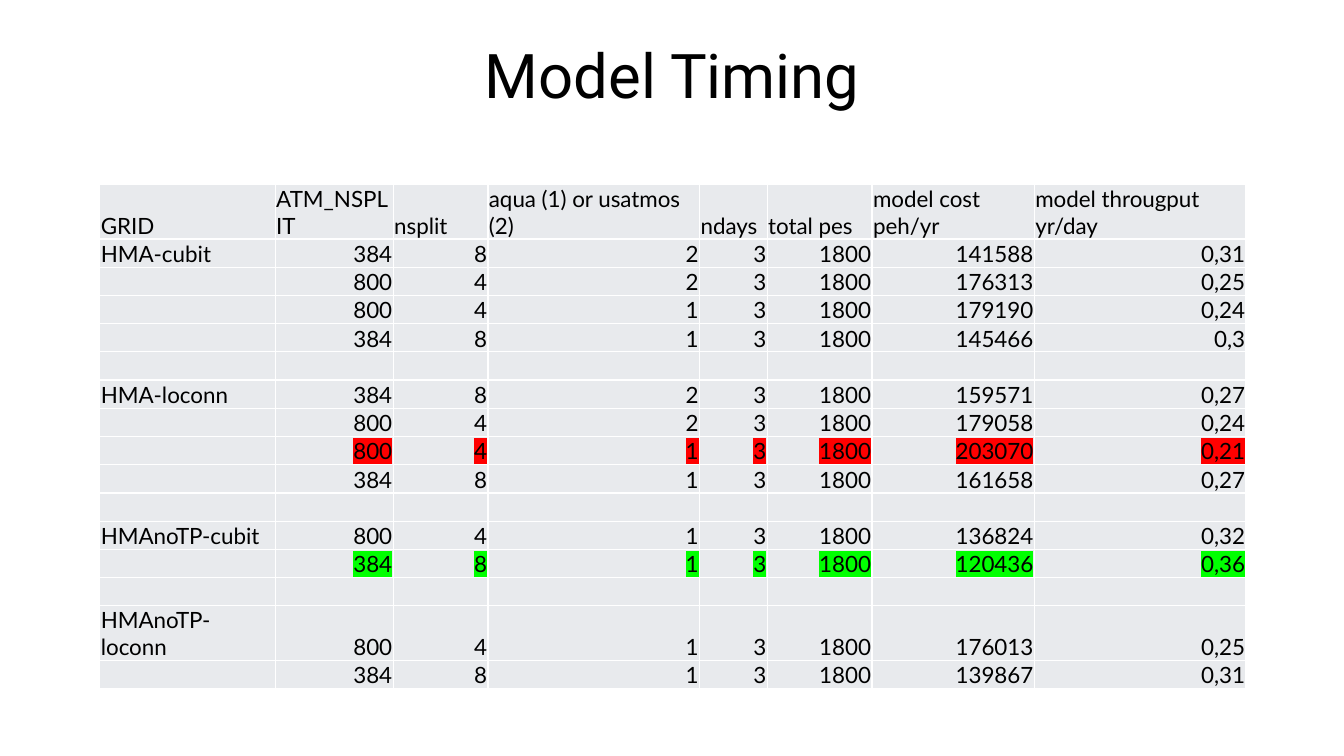
from dataclasses import dataclass
from lxml.etree import SubElement
from pptx import Presentation
from pptx.dml.color import RGBColor as Color
from pptx.enum.text import MSO_ANCHOR as Anchor, MSO_AUTO_SIZE as AutoSize, PP_ALIGN as Align
from pptx.oxml import parse_xml
from pptx.oxml.ns import nsdecls, qn
from pptx.util import Inches, Pt


@dataclass(frozen=True)
class Theme:
    text: str = "000000"
    cell: str = "E8EAED"
    border: str = "FFFFFF"
    slowest: str = "FF0000"
    fastest: str = "00FF00"
    title_font: str = "Roboto"
    table_font: str = "Lato"
    title_size: int = 44
    table_size: int = 16
    border_width: int = 1


theme = Theme()


def add_run(paragraph, text, font_name, size, highlight=None):
    run = paragraph.add_run()
    run.text = text
    run.font.name = font_name
    run.font.size = Pt(size)
    run.font.color.rgb = Color.from_string(theme.text)
    if highlight:
        fill = run.font._element.find(qn("a:solidFill"))
        fill.addnext(parse_xml(
            f'<a:highlight {nsdecls("a")}><a:srgbClr val="{highlight}"/></a:highlight>'))


def style_cell(cell):
    cell.fill.solid()
    cell.fill.fore_color.rgb = Color.from_string(theme.cell)
    cell.vertical_anchor = Anchor.BOTTOM
    cell.margin_left = cell.margin_right = cell.margin_top = Inches(0.01)
    cell.margin_bottom = 0
    properties = cell._tc.get_or_add_tcPr()
    for position, side in enumerate(("lnL", "lnR", "lnT", "lnB")):
        properties.insert(position, parse_xml(
            f'<a:{side} {nsdecls("a")} w="{Pt(theme.border_width)}"><a:solidFill>'
            f'<a:srgbClr val="{theme.border}"/></a:solidFill></a:{side}>'))


headers = ["GRID", "ATM_NSPLIT", "nsplit", "aqua (1) or usatmos (2)", "ndays",
           "total pes", "model cost peh/yr", "model througput yr/day"]
days, processors = "3", "1800"
grid_runs = {
    "HMA-cubit": [("384", "8", "2", "141588", "0,31"),
                  ("800", "4", "2", "176313", "0,25"),
                  ("800", "4", "1", "179190", "0,24"),
                  ("384", "8", "1", "145466", "0,3")],
    "HMA-loconn": [("384", "8", "2", "159571", "0,27"),
                   ("800", "4", "2", "179058", "0,24"),
                   ("800", "4", "1", "203070", "0,21"),
                   ("384", "8", "1", "161658", "0,27")],
    "HMAnoTP-cubit": [("800", "4", "1", "136824", "0,32"),
                      ("384", "8", "1", "120436", "0,36")],
    "HMAnoTP-loconn": [("800", "4", "1", "176013", "0,25"),
                       ("384", "8", "1", "139867", "0,31")],
}
highlights = {"203070": theme.slowest, "120436": theme.fastest}

rows = [headers]
for grid, timings in grid_runs.items():
    if len(rows) > 1:
        rows.append([""] * len(headers))
    for index, (atm_split, split, setup, cost, throughput) in enumerate(timings):
        rows.append([grid if index == 0 else "", atm_split, split, setup,
                     days, processors, cost, throughput])

column_widths = [1.74, 1.17, 0.94, 2.1, 0.67, 1.04, 1.61, 2.1]
line_height, double_height = 0.28, 0.54
row_heights = [double_height if row[0] in ("GRID", "HMAnoTP-loconn") else line_height
               for row in rows]

presentation = Presentation()
presentation.slide_width = Inches(13.33)
presentation.slide_height = Inches(7.5)
slide = presentation.slides.add_slide(presentation.slide_layouts[5])

title = slide.shapes.title
title.left, title.top = Inches(0.92), Inches(0.4)
title.width, title.height = Inches(11.5), Inches(1.12)
title.text_frame.auto_size = AutoSize.NONE
title.text_frame.vertical_anchor = Anchor.TOP
paragraph = title.text_frame.paragraphs[0]
paragraph.alignment = Align.CENTER
paragraph.line_spacing = 0.9
add_run(paragraph, "Model Timing", theme.title_font, theme.title_size)

table = slide.shapes.add_table(
    len(rows), len(headers), Inches(0.99), Inches(1.83),
    Inches(sum(column_widths)), Inches(sum(row_heights))).table
table.first_row = False
table.horz_banding = False
for column, width in zip(table.columns, column_widths):
    column.width = Inches(width)
for table_row, height in zip(table.rows, row_heights):
    table_row.height = Inches(height)

for row_index, row in enumerate(rows):
    highlight = highlights.get(row[6])
    for column_index, text in enumerate(row):
        cell = table.cell(row_index, column_index)
        style_cell(cell)
        paragraph = cell.text_frame.paragraphs[0]
        if text:
            numeric = row_index > 0 and column_index > 0
            paragraph.alignment = Align.RIGHT if numeric else Align.LEFT
            add_run(paragraph, text, theme.table_font, theme.table_size, highlight)
        else:
            end = SubElement(paragraph._p, qn("a:endParaRPr"), sz=str(theme.table_size * 100))
            SubElement(end, qn("a:latin"), typeface=theme.table_font)

presentation.save("out.pptx")
